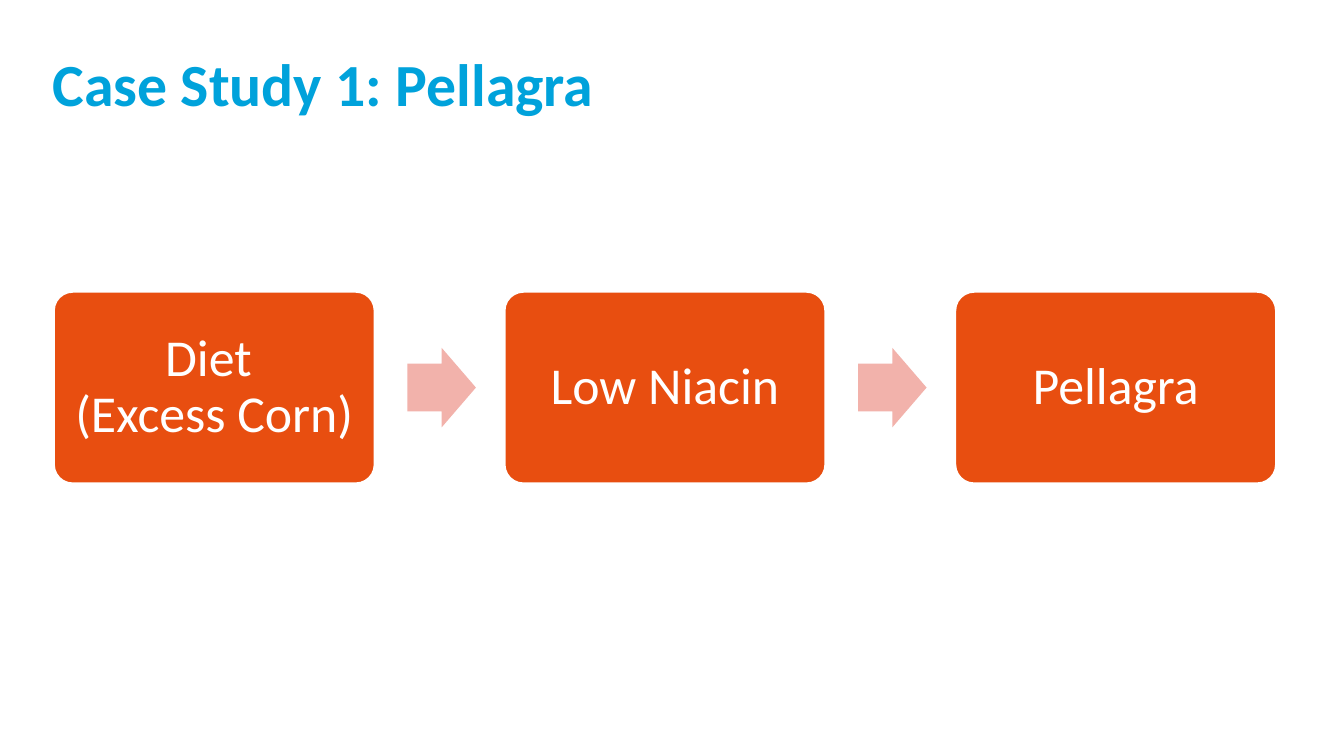
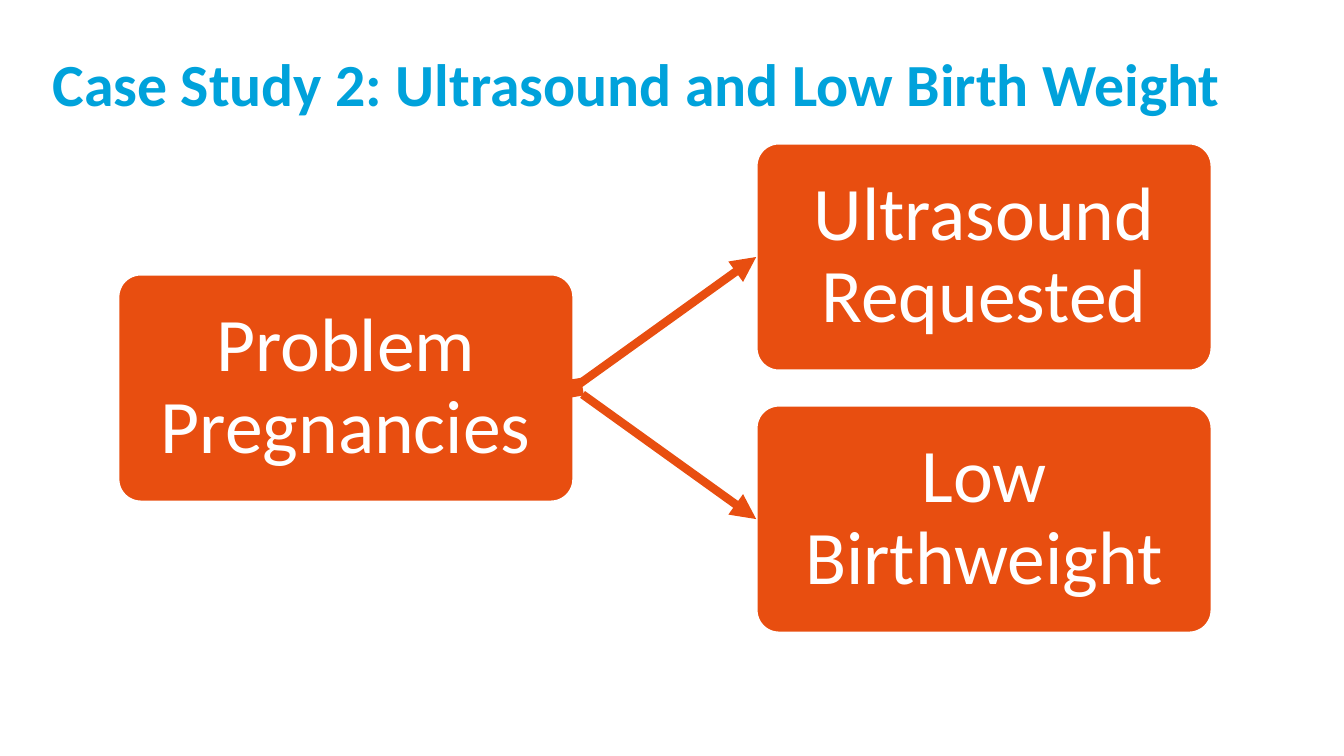
from lxml import etree
from pptx import Presentation
from pptx.dml.color import RGBColor
from pptx.enum import shapes, text
from pptx.oxml import ns
from pptx.util import Inches, Pt

# Shared style
FONT = "Calibri"
BLUE, ORANGE, PINK, WHITE = "00A2DB", "E84E10", "F2B2AB", "FFFFFF"
LEFT, CENTER = text.PP_ALIGN.LEFT, text.PP_ALIGN.CENTER


def color(hex_string):
    return RGBColor.from_string(hex_string)


def write(shape, content, size, font_color, align=CENTER, bold=False, inset=0):
    """Put text in a shape; a vertical tab in the content breaks the line."""
    frame = shape.text_frame
    frame.word_wrap = True
    frame.auto_size = text.MSO_AUTO_SIZE.NONE
    frame.vertical_anchor = text.MSO_ANCHOR.MIDDLE
    frame.margin_left = frame.margin_right = Inches(inset)
    frame.margin_top = frame.margin_bottom = Inches(inset)
    paragraph = frame.paragraphs[0]
    paragraph.text = content
    paragraph.alignment = align
    paragraph.line_spacing = 0.9
    for run in paragraph.runs:
        run.font.name = FONT
        run.font.size = Pt(size)
        run.font.bold = bold
        run.font.color.rgb = color(font_color)


def add_titled_slide(presentation, title):
    slide = presentation.slides.add_slide(presentation.slide_layouts[5])
    shape = slide.shapes.title
    shape.left, shape.top = Inches(0.52), Inches(0.45)
    shape.width, shape.height = Inches(12.14), Inches(0.83)
    write(shape, title, 42.7, BLUE, align=LEFT, bold=True)
    return slide


def add_filled(slide, kind, left, top, width, height, fill, adjustments):
    shape = slide.shapes.add_shape(
        kind, Inches(left), Inches(top), Inches(width), Inches(height))
    shape.shadow.inherit = False
    shape.fill.solid()
    shape.fill.fore_color.rgb = color(fill)
    shape.line.fill.background()
    for index, value in enumerate(adjustments):
        shape.adjustments[index] = value
    return shape


def add_box(slide, content, left, top, width, height, size, inset):
    box = add_filled(slide, shapes.MSO_SHAPE.ROUNDED_RECTANGLE,
                     left, top, width, height, ORANGE, [0.1])
    box.line.color.rgb = color(WHITE)
    box.line.width = Pt(2)
    write(box, content, size, WHITE, inset=inset)
    return box


def add_link(slide, start, end, **ends):
    """Join the right side of one box to the left side of another."""
    link = slide.shapes.add_connector(shapes.MSO_CONNECTOR.STRAIGHT, 0, 0, 0, 0)
    link.begin_connect(start, 3)
    link.end_connect(end, 1)
    link.line.color.rgb = color(ORANGE)
    link.line.width = Pt(6)
    line = link.line._get_or_add_ln()
    for tag, kind in ends.items():
        etree.SubElement(line, ns.qn(f"a:{tag}"), type=kind)
    etree.SubElement(link._element.spPr, ns.qn("a:effectLst"))


def build_pellagra(presentation):
    slide = add_titled_slide(presentation, "Case Study 1: Pellagra")
    steps = ["Diet \v(Excess Corn)", "Low Niacin", "Pellagra"]
    pitch = 4.47
    for index, step in enumerate(steps):
        left = 0.53 + index * pitch
        if index:
            add_filled(slide, shapes.MSO_SHAPE.RIGHT_ARROW,
                       left - 0.96, 3.45, 0.68, 0.79, PINK, [0.6, 0.5])
        add_box(slide, step, left, 2.89, 3.19, 1.91, size=37, inset=0.15)


def build_ultrasound(presentation):
    slide = add_titled_slide(
        presentation, "Case Study 2: Ultrasound and Low Birth Weight")
    middle, row_offset = 2.72, 1.3

    def add_node(content, left, top):
        return add_box(slide, content, left, top, 4.52, 2.26, size=54, inset=0.04)

    cause = add_node("Problem Pregnancies", 1.17, middle)
    request = add_node("Ultrasound Requested", 7.5, middle - row_offset)
    outcome = add_node("Low Birthweight", 7.5, middle + row_offset)
    add_link(slide, cause, request, tailEnd="triangle")
    add_link(slide, cause, outcome, headEnd="diamond", tailEnd="triangle")


def main():
    presentation = Presentation()
    presentation.slide_width = Inches(13.33)
    presentation.slide_height = Inches(7.5)
    build_pellagra(presentation)
    build_ultrasound(presentation)
    presentation.save("out.pptx")


if __name__ == "__main__":
    main()
